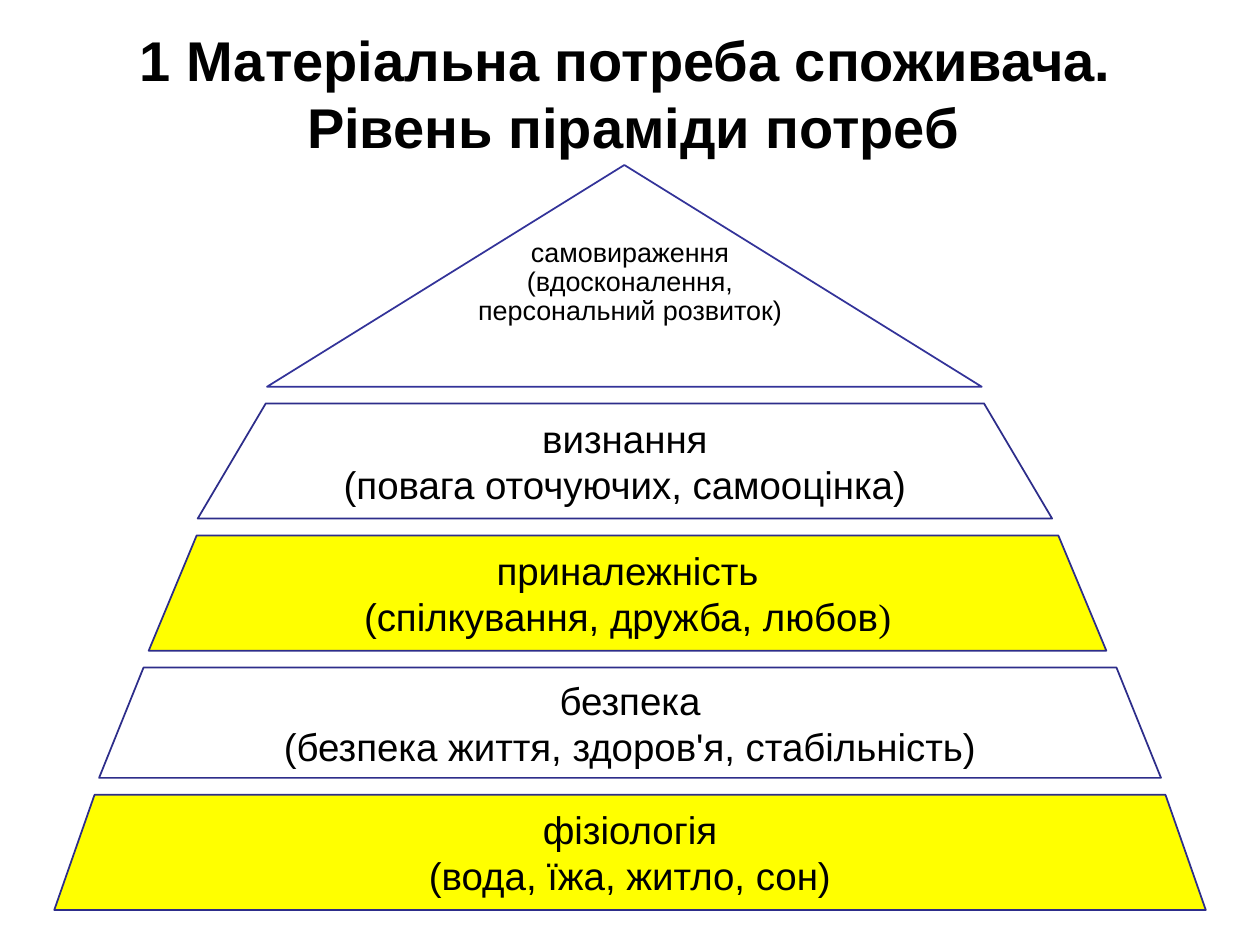
import pptx
import pptx.util
import pptx.dml.color
import pptx.enum.shapes
import pptx.enum.text

Pt = pptx.util.Pt
RGB = pptx.dml.color.RGBColor
Anchor = pptx.enum.text.MSO_ANCHOR
BLACK = RGB(0, 0, 0)
WHITE = RGB(255, 255, 255)
YELLOW = RGB(255, 255, 0)
NAVY = RGB(0x2D, 0x2D, 0x8A)
INDIGO = RGB(0x33, 0x33, 0x99)

TITLE = "1 Матеріальна потреба споживача. \vРівень піраміди потреб"
PEAK = ["самовираження", "(вдосконалення,", "персональний розвиток)"]
# text, fill, middle, height, half width at top, half width at base
BANDS = [
    (["визнання", "(повага оточуючих, самооцінка)"], WHITE, 357.1, 65.8, 205.2, 244.1),
    (["приналежність", "(спілкування, дружба, любов)"], YELLOW, 358.6, 65.8, 246.2, 273.6),
    (["безпека", "(безпека життя, здоров'я, стабільність)"], WHITE, 360, 63, 278, 303.4),
    (["фізіологія", "(вода, їжа, житло, сон)"], YELLOW, 360, 65.8, 306, 329),
]
SERIF_END = "любов)"
TOP = 230.5
GAP = 9.7


def style(run, size, bold=False, name="Arial"):
    run.font.size = Pt(size)
    run.font.bold = bold
    run.font.name = name
    run.font.color.rgb = BLACK


def write(shape, lines, size, bold=False, anchor=Anchor.MIDDLE):
    frame = shape.text_frame
    frame.word_wrap = True
    frame.vertical_anchor = anchor
    frame.text = "\n".join(lines)
    for para in frame.paragraphs:
        para.alignment = pptx.enum.text.PP_ALIGN.CENTER
        for run in para.runs:
            style(run, size, bold)
    return frame


def paint(shape, fill, line):
    shape.shadow.inherit = False
    shape.fill.solid()
    shape.fill.fore_color.rgb = fill
    shape.line.color.rgb = line
    shape.line.width = Pt(1)


def add_band(shapes, top, lines, fill, mid, height, upper, lower):
    base = top + height
    build = shapes.build_freeform(Pt(mid - lower), Pt(base))
    build.add_line_segments(
        [(Pt(mid - upper), Pt(top)), (Pt(mid + upper), Pt(top)), (Pt(mid + lower), Pt(base))],
        close=True,
    )
    band = build.convert_to_shape()
    paint(band, fill, NAVY)
    para = write(band, lines, 22).paragraphs[-1]
    if lines[-1].endswith(SERIF_END):
        para.runs[0].text = lines[-1][:-1]
        last = para.add_run()
        last.text = lines[-1][-1]
        style(last, 22, name="Times New Roman")


def add_peak(shapes):
    kind = pptx.enum.shapes.MSO_SHAPE.ISOSCELES_TRIANGLE
    peak = shapes.add_shape(kind, Pt(152.6), Pt(94.3), Pt(408.4), Pt(126.7))
    peak.adjustments[0] = 0.5
    paint(peak, WHITE, INDIGO)
    label = shapes.add_textbox(Pt(218.2), Pt(137.5), Pt(283.7), Pt(55.4))
    for para in write(label, PEAK, 15.4, anchor=Anchor.TOP).paragraphs:
        para.line_spacing = 0.6
        para.space_before = Pt(5.5)


def main():
    deck = pptx.Presentation()
    deck.slide_width = Pt(720)
    deck.slide_height = Pt(540)
    shapes = deck.slides.add_slide(deck.slide_layouts[6]).shapes
    title = shapes.add_textbox(Pt(2), Pt(20), Pt(720), Pt(65.5))
    write(title, [TITLE], 32, bold=True)
    top = TOP
    for band in BANDS:
        add_band(shapes, top, *band)
        top += band[3] + GAP
    add_peak(shapes)
    deck.save("out.pptx")


if __name__ == "__main__":
    main()
